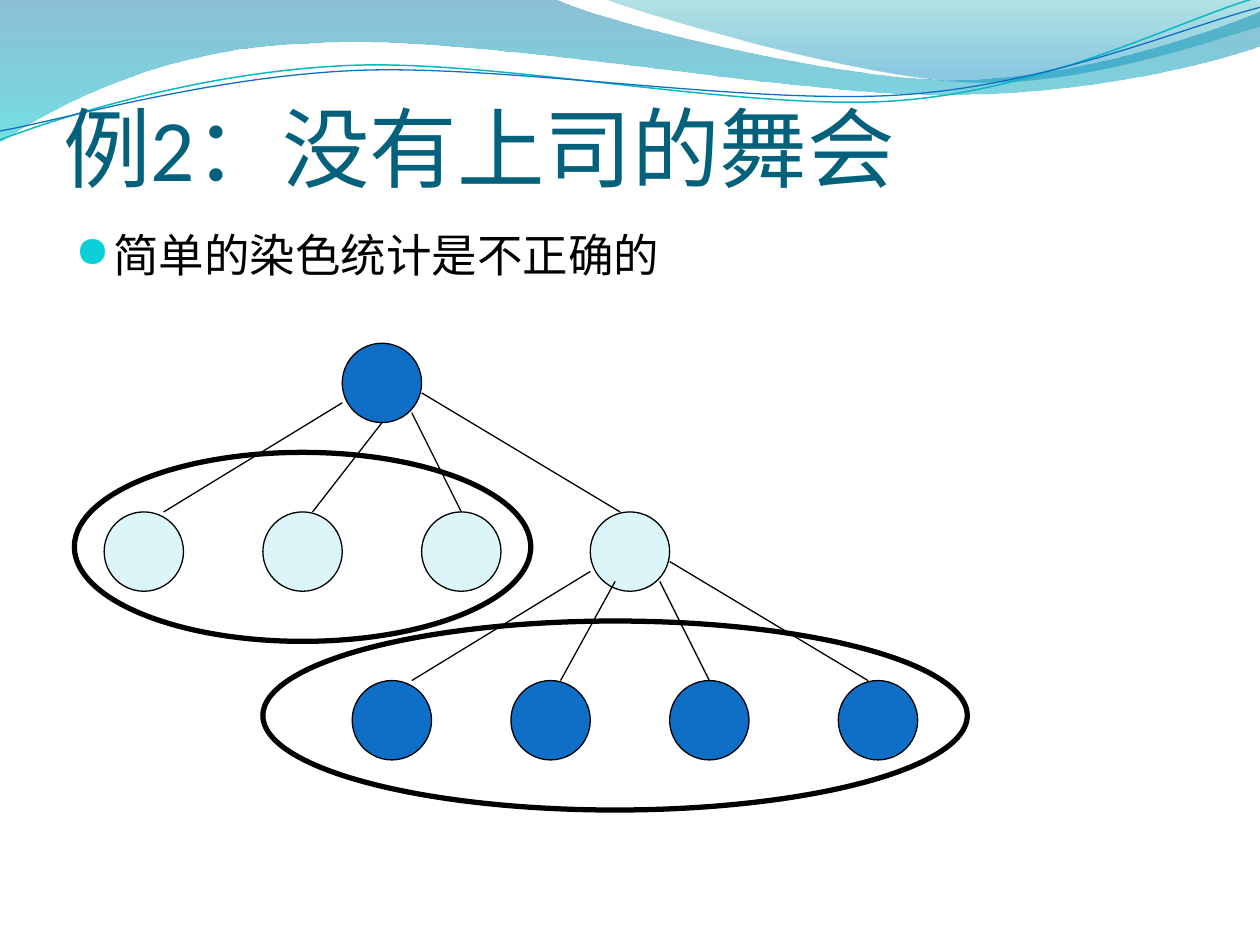
from dataclasses import dataclass
from lxml.etree import SubElement
from pptx import Presentation
from pptx.dml.color import RGBColor as Rgb
from pptx.enum.shapes import MSO_CONNECTOR as Connector, MSO_SHAPE as Shape
from pptx.enum.text import MSO_ANCHOR as Anchor, MSO_AUTO_SIZE as AutoSize, PP_ALIGN as Align
from pptx.oxml.ns import qn
from pptx.util import Cm, Pt


@dataclass(frozen=True)
class Theme:
    ink: str = "000000"
    title: str = "04617B"
    bullet: str = "0BD0D9"
    dark: str = "0F6FC6"
    light: str = "DBF5F9"
    teal: str = "0AB8BF"
    band: tuple = ((0, "0074A1", 45), (100, "00C6CF", 55))
    corner: tuple = ((0, "00A1A9", 30), (80, "008BBF", 45))
    title_font: str = "Calibri"
    body_font: str = "Vollkorn"
    title_size: int = 50
    body_size: int = 26
    thin: float = 0.75
    thick: float = 3


def assign(target, values):
    for name, value in values.items():
        setattr(target, name, value)


class SlideBuilder:
    def __init__(self, page, theme):
        self.page, self.theme = page, theme

    def fill_text(self, frame, text, font, size, color, frame_format):
        assign(frame, {"word_wrap": True, "auto_size": AutoSize.NONE, **frame_format})
        para = frame.paragraphs[0]
        para.alignment = Align.LEFT
        span = para.add_run()
        span.text = text
        assign(span.font, {"name": font, "size": Pt(size)})
        span.font.color.rgb = Rgb.from_string(color)
        return para

    def title(self, text, left, top, width, height):
        box = self.page.shapes.title
        assign(box, {"left": Cm(left), "top": Cm(top), "width": Cm(width), "height": Cm(height)})
        self.fill_text(box.text_frame, text, self.theme.title_font, self.theme.title_size, self.theme.title,
                       {"vertical_anchor": Anchor.BOTTOM, "margin_left": 0, "margin_right": 0,
                        "margin_top": Cm(0.13), "margin_bottom": 0})
        self.page.shapes._spTree.append(box._element)

    def bullet(self, text, left, top, width, height):
        box = self.page.shapes.add_textbox(Cm(left), Cm(top), Cm(width), Cm(height))
        para = self.fill_text(box.text_frame, text, self.theme.body_font, self.theme.body_size,
                              self.theme.ink, {"vertical_anchor": Anchor.TOP})
        para.space_before = Pt(self.theme.body_size * 0.2)
        props = para._p.get_or_add_pPr()
        props.set("marL", str(Cm(0.76)))
        props.set("indent", str(-Cm(0.76)))
        SubElement(SubElement(props, qn("a:buClr")), qn("a:srgbClr"), val=self.theme.bullet)
        SubElement(props, qn("a:buSzPct"), val="95000")
        SubElement(props, qn("a:buChar"), char="●")

    def paint(self, shape, fill, line, width):
        shape.shadow.inherit = False
        if fill:
            shape.fill.solid()
            shape.fill.fore_color.rgb = Rgb.from_string(fill)
        else:
            shape.fill.background()
        self.stroke(shape, line, width)

    def stroke(self, shape, color, width):
        shape.line.color.rgb = Rgb.from_string(color)
        shape.line.width = Pt(width)

    def oval(self, left, top, width, height, fill=None, weight=None):
        shape = self.page.shapes.add_shape(Shape.OVAL, Cm(left), Cm(top), Cm(width), Cm(height))
        self.paint(shape, fill, self.theme.ink, weight or self.theme.thin)

    def edge(self, start, end):
        line = self.page.shapes.add_connector(Connector.STRAIGHT, *map(Cm, start + end))
        self.stroke(line, self.theme.ink, self.theme.thin)
        SubElement(line._element.spPr, qn("a:effectLst"))

    def outline(self, start, segments, close):
        builder = self.page.shapes.build_freeform(*map(Cm, start))
        points = [(Cm(x), Cm(y)) for segment in segments for x, y in segment]
        shape = builder.add_line_segments(points, close=close).convert_to_shape()
        steps = iter(list(shape._element.iter(qn("a:lnTo"))))
        for segment in segments:
            first, *others = [next(steps) for _ in segment]
            if others:
                first.tag = qn("a:cubicBezTo")
            for other in others:
                first.extend(list(other))
                other.getparent().remove(other)
        return shape

    def wave(self, start, segments, stops):
        shape = self.outline(start, segments, True)
        shape.shadow.inherit = False
        shape.line.fill.background()
        shape.fill.gradient()
        shape.fill.gradient_angle = 270
        for stop, (position, color, opacity) in zip(shape.fill.gradient_stops, stops):
            stop.position = position / 100
            stop.color.rgb = Rgb.from_string(color)
            tint = next(stop._gs.iter(qn("a:srgbClr")))
            SubElement(tint, qn("a:alpha"), val=str(opacity * 1000))

    def ripple(self, start, segments, color, width):
        self.paint(self.outline(start, segments, False), None, color, width)


NODE = 1.6
LEVEL = 3.4
CHILD_OFFSETS = (-4.8, -1.6, 1.6, 5.0)
CHILD_TIPS = (1.2, 1.0, 0.8, 0.6)


def family(slide, left, top, second_start, fill):
    starts = ((0, 1.2), second_start, (1.4, 1.4), (1.6, 1.0))
    for offset, tip, (x, y) in zip(CHILD_OFFSETS, CHILD_TIPS, starts):
        child = left + offset
        slide.oval(child, top + LEVEL, NODE, NODE, fill)
        slide.edge((left + x, top + y), (child + tip, top + LEVEL))


theme = Theme()
deck = Presentation()
assign(deck, {"slide_width": Cm(25.4), "slide_height": Cm(19.05)})
slide = SlideBuilder(deck.slides.add_slide(deck.slide_layouts[5]), theme)

slide.wave((0, 0), [
    [(11.18, -0.03)],
    [(12.09, 0.43), (16.87, 1.6), (19.25, 1.6)],
    [(21.67, 1.6), (24.33, 0.66), (25.4, 0.23)],
    [(25.43, 0.91)],
    [(24.97, 1.12), (22.1, 1.93), (18.95, 1.91)],
    [(15.8, 1.91), (9.7, 0.71), (6.53, 0.86)],
    [(3.28, 0.91), (1.17, 2.11), (-0.03, 2.87)],
], theme.band)
slide.wave((12.17, -0.03), [
    [(12.93, 0.28), (17.32, 1.57), (19.53, 1.65)],
    [(21.74, 1.75), (24.41, 0.81), (25.4, 0.53)],
    [(25.4, 0)],
], theme.corner)
slide.ripple((0, 2.82), [
    [(1.22, 2.36), (4.01, 1.45), (7.04, 1.32)],
    [(10.03, 1.19), (15.06, 2.26), (18.11, 2.03)],
    [(21.16, 1.8), (23.83, 0.38), (25.35, -0.05)],
], theme.teal, 0.85)
slide.ripple((0, 2.64), [
    [(1.19, 2.44), (4.17, 1.55), (7.19, 1.42)],
    [(10.24, 1.3), (15.16, 2.13), (18.21, 1.91)],
    [(21.23, 1.7), (23.9, 0.53), (25.4, 0.15)],
], theme.dark, theme.thin)

slide.bullet("简单的染色统计是不正确的", 1.27, 4.45, 20.75, 13.54)

root_left, root_top = 6.9, 6.92
slide.oval(root_left, root_top, NODE, NODE, theme.dark)
family(slide, root_left, root_top, (0.8, 1.6), theme.light)
family(slide, root_left + CHILD_OFFSETS[-1], root_top + LEVEL, (0.5, 1.4), theme.dark)

for left, top, width in ((1.5, 9.12, 9.2), (5.3, 12.52, 14.2)):
    slide.oval(left, top, width, 3.81, weight=theme.thick)

slide.title("例2：没有上司的舞会", 1.27, 0.84, 22.86, 3.18)
deck.save("out.pptx")
